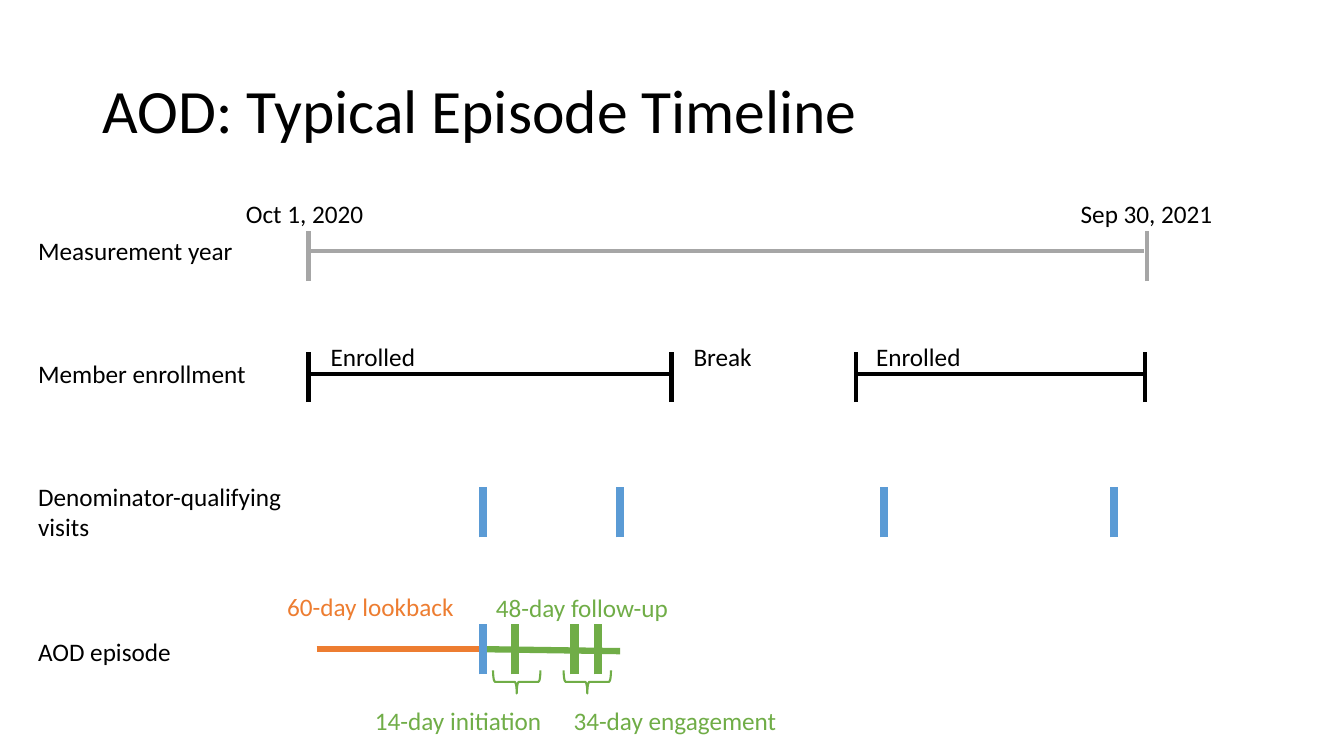
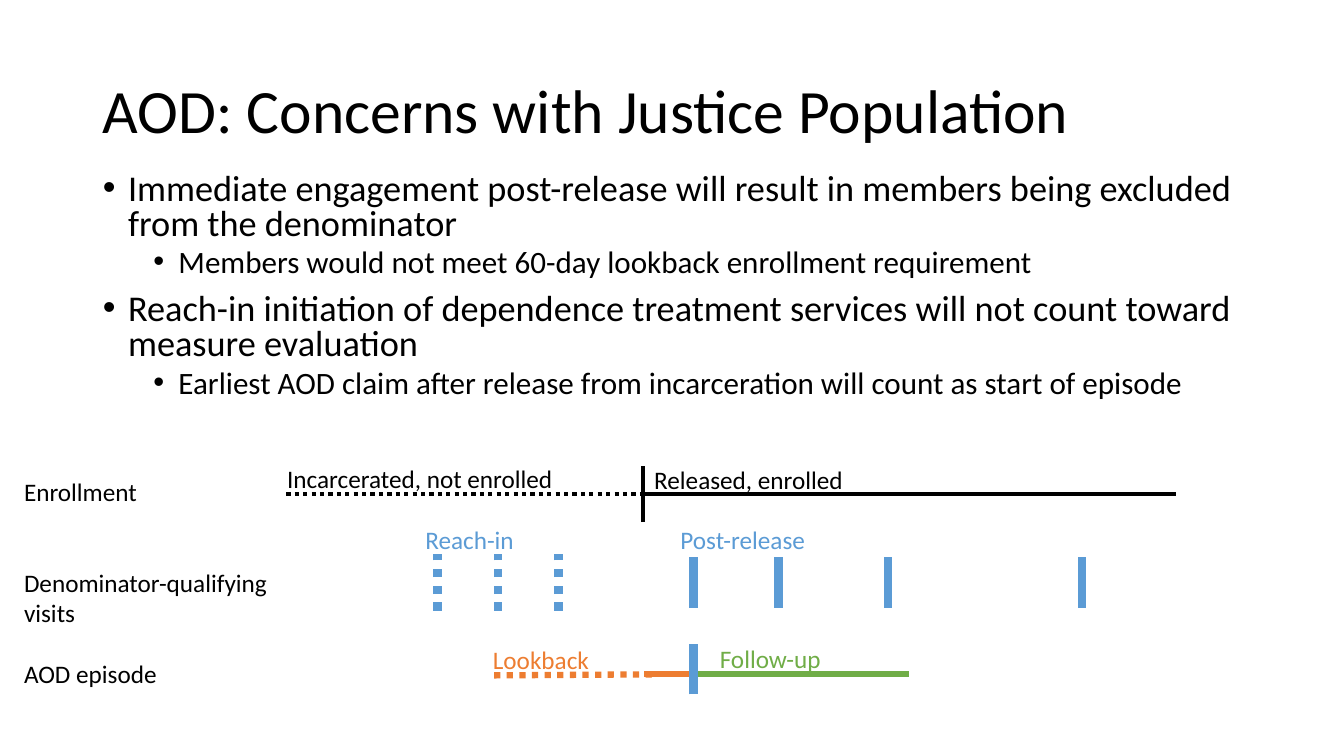
from lxml.etree import SubElement
from pptx import Presentation
from pptx.dml.color import RGBColor
from pptx.enum.dml import MSO_LINE
from pptx.enum.shapes import MSO_CONNECTOR, MSO_SHAPE
from pptx.enum.text import MSO_ANCHOR, MSO_AUTO_SIZE, PP_ALIGN
from pptx.oxml.ns import qn
from pptx.util import Inches, Pt

BLACK = RGBColor(0x00, 0x00, 0x00)
GRAY = RGBColor(0xA6, 0xA6, 0xA6)
BLUE = RGBColor(0x5B, 0x9B, 0xD5)
ORANGE = RGBColor(0xED, 0x7D, 0x31)
GREEN = RGBColor(0x70, 0xAD, 0x47)
FONT = "Calibri"
DOT = MSO_LINE.ROUND_DOT
TICK = 0.5
TALL_TICK = 0.56
LINE_H = 0.4
TWO_LINES_H = 0.71
THIN, MEDIUM, THICK = 3, 4.5, 6
TITLE_ONLY, TITLE_BODY = 5, 1

YEAR_START, YEAR_END = 3.06, 11.36
YEAR_Y, ENROLL_Y, VISIT_Y, EPISODE_Y = 2.49, 3.71, 5.08, 6.44
EPISODE_START = 4.79

TYPICAL = {
    "title": "AOD: Typical Episode Timeline",
    "label_left": 0.28,
    "row_labels": [("Measurement year", YEAR_Y), ("Member enrollment", ENROLL_Y),
                   ("Denominator-qualifying visits", VISIT_Y),
                   ("AOD episode", EPISODE_Y + 0.02)],
    "notes": [("Oct 1, 2020", 2.34, 1.92, BLACK), ("Sep 30, 2021", 10.62, 1.92, BLACK),
              ("Enrolled", 3.18, 3.34, BLACK), ("Break", 6.78, 3.34, BLACK),
              ("Enrolled", 8.59, 3.34, BLACK),
              ("60-day lookback", 2.75, 5.82, ORANGE),
              ("48-day follow-up", 4.82, 5.83, GREEN),
              ("14-day initiation", 3.62, 6.95, GREEN),
              ("34-day engagement", 5.59, 6.95, GREEN)],
    "spans": [(YEAR_START, YEAR_Y, 11.35, YEAR_Y, GRAY, THIN, None),
              (YEAR_START, ENROLL_Y, 6.67, ENROLL_Y, BLACK, THIN, None),
              (8.5, ENROLL_Y, YEAR_END, ENROLL_Y, BLACK, THIN, None),
              (3.14, EPISODE_Y, 4.77, EPISODE_Y, ORANGE, MEDIUM, None),
              (4.76, EPISODE_Y, 6.15, EPISODE_Y + 0.02, GREEN, MEDIUM, None)],
    "ticks": [([YEAR_START, 11.38], YEAR_Y + 0.05, TICK, GRAY, THIN, None),
              ([YEAR_START, 6.66, 8.49, YEAR_END], ENROLL_Y + 0.03, TICK, BLACK, THIN, None),
              ([EPISODE_START, 6.15, 8.77, 11.05], VISIT_Y, TICK, BLUE, THICK, None),
              ([EPISODE_START], EPISODE_Y, TICK, BLUE, THICK, None),
              ([5.11, 5.7, 5.93], EPISODE_Y, TICK, GREEN, THICK, None)],
    "braces": [5.01, 5.71],
}

RELEASE, FIRST_VISIT = 6.39, 6.88
STATUS_Y, CARE_Y, CLAIM_Y = 4.9, 5.78, 6.69

JUSTICE = {
    "title": "AOD: Concerns with Justice Population",
    "bullets": [
        ("Immediate engagement post-release will result in members being excluded "
         "from the denominator", 0),
        ("Members would not meet 60-day lookback enrollment requirement", 1),
        ("Reach-in initiation of dependence treatment services will not count toward "
         "measure evaluation", 0),
        ("Earliest AOD claim after release from incarceration will count as start of "
         "episode", 1)],
    "label_left": 0.14,
    "row_labels": [("Enrollment", STATUS_Y - 0.02),
                   ("Denominator-qualifying visits", CARE_Y + 0.15),
                   ("AOD episode", CLAIM_Y - 0.01)],
    "notes": [("Incarcerated, not enrolled", 2.75, 4.55, BLACK),
              ("Released, enrolled", RELEASE, 4.56, BLACK),
              ("Reach-in", 4.12, 5.15, BLUE), ("Post-release", 6.65, 5.15, BLUE),
              ("Lookback", 4.79, 6.34, ORANGE), ("Follow-up", 7.04, 6.33, GREEN)],
    "spans": [(2.84, STATUS_Y, RELEASE, STATUS_Y, BLACK, THIN, DOT),
              (RELEASE, STATUS_Y, 11.66, STATUS_Y, BLACK, THIN, None),
              (RELEASE, CLAIM_Y, FIRST_VISIT, CLAIM_Y, ORANGE, MEDIUM, None),
              (FIRST_VISIT, CLAIM_Y, 9.02, CLAIM_Y, GREEN, MEDIUM, None),
              (4.9, CLAIM_Y + 0.01, 6.49, CLAIM_Y, ORANGE, MEDIUM, DOT)],
    "ticks": [([RELEASE - 0.01], STATUS_Y, TALL_TICK, BLACK, THIN, None),
              ([4.34, 4.94, 5.54], CARE_Y, TALL_TICK, BLUE, THICK, DOT),
              ([FIRST_VISIT, 7.72, 8.81, 10.73], CARE_Y, TICK, BLUE, THICK, None),
              ([FIRST_VISIT], CLAIM_Y - 0.05, TICK, BLUE, THICK, None)],
}

BULLET_LEVELS = [
    {"size": 25.9, "before": 10, "indent": 0.25},
    {"size": 22.2, "before": 5, "indent": 0.75},
]


def write(p, text, size=18, color=BLACK, spacing=None, before=None):
    p.alignment = PP_ALIGN.LEFT
    if spacing is not None:
        p.line_spacing = spacing
    if before is not None:
        p.space_before = Pt(before)
    r = p.add_run()
    r.text = text
    r.font.name = FONT
    r.font.size = Pt(size)
    r.font.color.rgb = color


def place(sp, left, top, width, height):
    sp.left, sp.top = Inches(left), Inches(top)
    sp.width, sp.height = Inches(width), Inches(height)


def add_label(s, text, left, top, width=3, height=LINE_H, color=BLACK):
    sp = s.shapes.add_textbox(Inches(left), Inches(top), Inches(width), Inches(height))
    sp.text_frame.word_wrap = True
    write(sp.text_frame.paragraphs[0], text, color=color)


def add_line(s, x1, y1, x2, y2, color, width, dash):
    sp = s.shapes.add_connector(MSO_CONNECTOR.STRAIGHT,
                                Inches(x1), Inches(y1), Inches(x2), Inches(y2))
    sp.line.color.rgb = color
    sp.line.width = Pt(width)
    if dash is not None:
        sp.line.dash_style = dash
    SubElement(sp._element.spPr, qn("a:effectLst"))


def add_brace(s, left):
    sp = s.shapes.add_shape(MSO_SHAPE.RIGHT_BRACE, Inches(left), Inches(6.53),
                            Inches(0.23), Inches(0.47))
    sp.rotation = 90
    sp.shadow.inherit = False
    sp.fill.background()
    sp.line.color.rgb = GREEN
    sp.line.width = Pt(1.5)


def add_bullets(sp, bullets):
    place(sp, 0.92, 1.67, 11.5, 2.38)
    tf = sp.text_frame
    tf.auto_size = MSO_AUTO_SIZE.NONE
    for i, (text, level) in enumerate(bullets):
        p = tf.paragraphs[0] if i == 0 else tf.add_paragraph()
        style = BULLET_LEVELS[level]
        p.level = level
        write(p, text, size=style["size"], spacing=0.8, before=style["before"])
        pPr = p._p.get_or_add_pPr()
        pPr.set("marL", str(Inches(style["indent"])))
        pPr.set("indent", str(-Inches(0.25)))
        SubElement(pPr, qn("a:buFont")).set("typeface", "Arial")
        SubElement(pPr, qn("a:buChar")).set("char", "•")


def add_title(s, text):
    sp = s.shapes.title
    place(sp, 0.92, 0.4, 11.5, 1.45)
    tf = sp.text_frame
    tf.auto_size = MSO_AUTO_SIZE.NONE
    tf.vertical_anchor = MSO_ANCHOR.MIDDLE
    write(tf.paragraphs[0], text, size=44, spacing=0.9)


def add_timeline(prs, content):
    bullets = content.get("bullets")
    s = prs.slides.add_slide(prs.slide_layouts[TITLE_BODY if bullets else TITLE_ONLY])
    add_title(s, content["title"])
    if bullets:
        add_bullets(s.placeholders[1], bullets)
    for text, middle in content["row_labels"]:
        height = TWO_LINES_H if len(text) > 20 else LINE_H
        add_label(s, text, content["label_left"], middle - height / 2,
                  width=2.8, height=height)
    for text, left, top, color in content["notes"]:
        add_label(s, text, left, top, width=0.5 + 0.11 * len(text), color=color)
    for span in content["spans"]:
        add_line(s, *span)
    for xs, middle, height, color, width, dash in content["ticks"]:
        for x in xs:
            add_line(s, x, middle + height / 2, x, middle - height / 2, color, width, dash)
    for left in content.get("braces", []):
        add_brace(s, left)


def main():
    prs = Presentation()
    prs.slide_width, prs.slide_height = Inches(13.33), Inches(7.5)
    for content in (TYPICAL, JUSTICE):
        add_timeline(prs, content)
    prs.save("out.pptx")


if __name__ == "__main__":
    main()
